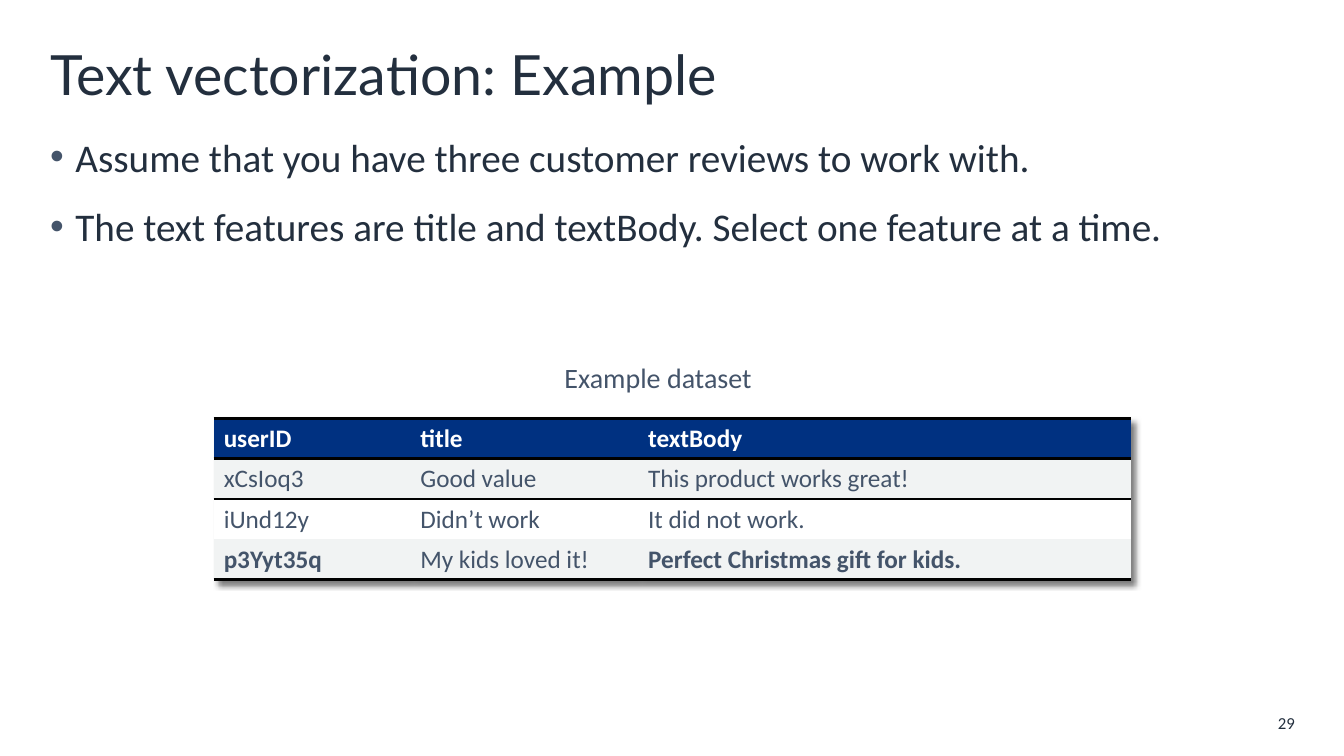
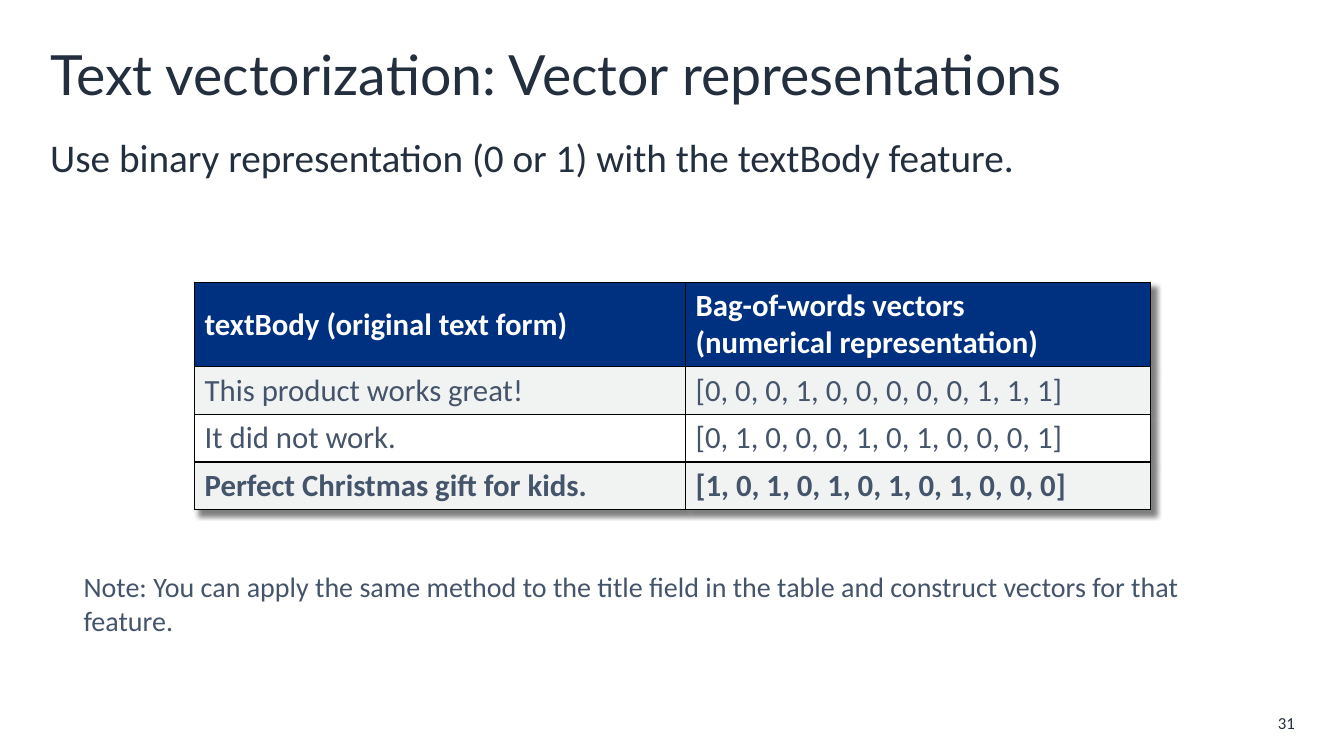
import pptx
import pptx.util
import pptx.dml.color
import pptx.enum.text
import pptx.oxml
import pptx.oxml.ns

deck = pptx.Presentation()
deck.slide_width = pptx.util.Inches(13.33)
deck.slide_height = pptx.util.Inches(7.5)
wide, high = deck.slide_width / 100, deck.slide_height / 100

INK, SLATE, NAVY, PALE, WHITE = "232F3E", "44546A", "003181", "F1F3F3", "FFFFFF"
MID = pptx.enum.text.MSO_ANCHOR.MIDDLE
TOP = pptx.enum.text.MSO_ANCHOR.TOP
LEFT, RIGHT = pptx.enum.text.PP_ALIGN.LEFT, pptx.enum.text.PP_ALIGN.RIGHT
SPACE = pptx.oxml.ns.nsdecls("a")
PLAIN = "{2D5ABB26-0587-4C30-8999-92F81FD0307C}"
SHADE = (
    f'<a:effectLst {SPACE}><a:outerShdw blurRad="50800" dist="50800" dir="2700000" algn="tl">'
    '<a:srgbClr val="000000"><a:alpha val="50000"/></a:srgbClr></a:outerShdw></a:effectLst>'
)


def hue(code):
    return pptx.dml.color.RGBColor.from_string(code)


def write(frame, words, size, tone, face="Calibri", bold=False, align=LEFT, anchor=TOP):
    frame.text = words
    frame.word_wrap = True
    frame.vertical_anchor = anchor
    for line in frame.paragraphs:
        line.alignment = align
        line.font.name = face
        line.font.size = pptx.util.Pt(size)
        line.font.bold = bold
        line.font.color.rgb = hue(tone)


pages = [
    {
        "title": "Text vectorization: Example",
        "body": "Assume that you have three customer reviews to work with.\n"
                "The text features are title and textBody. Select one feature at a time.",
        "dots": True,
        "page": "29",
        "note": ("Example dataset", 41.26, 47.07, 17.4, 5.87),
        "spot": (15.9, 55.33),
        "cols": [14.63, 16.95, 36.68],
        "rows": [5.33] * 4,
        "size": 18,
        "anchor": TOP,
        "grid": False,
        "bold": [0, 2],
        "cells": [
            ["userID", "title", "textBody"],
            ["xCsIoq3", "Good value", "This product works great!"],
            ["iUnd12y", "Didn’t work", "It did not work."],
            ["p3Yyt35q", "My kids loved it!", "Perfect Christmas gift for kids."],
        ],
    },
    {
        "title": "Text vectorization: Vector representations",
        "body": "Use binary representation (0 or 1) with the textBody feature.",
        "dots": False,
        "page": "31",
        "note": ("Note: You can apply the same method to the title field in the table "
                 "and construct vectors for that feature.", 5.48, 74.67, 89.05, 10.27),
        "spot": (14.48, 37.33),
        "cols": [36.53, 34.58],
        "rows": [11.2] + [6.3] * 3,
        "size": 22,
        "anchor": MID,
        "grid": True,
        "bold": [0, 1],
        "cells": [
            ["textBody (original text form)", "Bag-of-words vectors\n(numerical representation)"],
            ["This product works great!", "[0, 0, 0, 1, 0, 0, 0, 0, 0, 1, 1, 1]"],
            ["It did not work.", "[0, 1, 0, 0, 0, 1, 0, 1, 0, 0, 0, 1]"],
            ["Perfect Christmas gift for kids.", "[1, 0, 1, 0, 1, 0, 1, 0, 1, 0, 0, 0]"],
        ],
    },
]

for page in pages:
    slide = deck.slides.add_slide(deck.slide_layouts[5])
    title = slide.shapes.title
    title.left, title.top = int(3 * wide), int(4.4 * high)
    title.width, title.height = int(94.07 * wide), int(10.67 * high)
    write(title.text_frame, page["title"], 39.6, INK, "Lato", anchor=MID)
    title.text_frame.auto_size = pptx.enum.text.MSO_AUTO_SIZE.NONE

    texts = [
        (page["body"], 3, 16.93, 94.07, 76.8, 28, INK, LEFT, TOP),
        (*page["note"], 20, SLATE, LEFT, TOP),
        (page["page"], 93.1, 94, 3.98, 3.33, 12, INK, RIGHT, MID),
    ]
    boxes = []
    for words, x, y, w, h, size, tone, align, anchor in texts:
        box = slide.shapes.add_textbox(int(x * wide), int(y * high), int(w * wide), int(h * high))
        write(box.text_frame, words, size, tone, align=align, anchor=anchor)
        boxes.append(box)

    for line in boxes[0].text_frame.paragraphs:
        line.space_before, line.space_after = pptx.util.Pt(10), pptx.util.Pt(6)
        if page["dots"]:
            props = line._p.get_or_add_pPr()
            props.set("marL", str(pptx.util.Inches(0.25)))
            props.set("indent", str(pptx.util.Inches(-0.25)))
            marks = [
                f'<a:buClr {SPACE}><a:srgbClr val="{SLATE}"/></a:buClr>',
                f'<a:buFont {SPACE} typeface="Arial"/>',
                f'<a:buChar {SPACE} char="•"/>',
            ]
            spot = props.index(props.find(pptx.oxml.ns.qn("a:defRPr")))
            for step, mark in enumerate(marks):
                props.insert(spot + step, pptx.oxml.parse_xml(mark))

    cols, rows = page["cols"], page["rows"]
    x, y = page["spot"]
    table = slide.shapes.add_table(
        len(rows), len(cols), int(x * wide), int(y * high),
        int(sum(cols) * wide), int(sum(rows) * high),
    ).table
    look = table._tbl.tblPr
    look.find(pptx.oxml.ns.qn("a:tableStyleId")).text = PLAIN
    look.insert(0, pptx.oxml.parse_xml(SHADE))
    for col, share in zip(table.columns, cols):
        col.width = int(share * wide)
    for row, share in zip(table.rows, rows):
        row.height = int(share * high)

    last = len(rows) - 1
    for r, row in enumerate(page["cells"]):
        for c, words in enumerate(row):
            cell = table.cell(r, c)
            bold = r == 0 or (r == last and c in page["bold"])
            write(cell.text_frame, words, page["size"], SLATE if r else WHITE, bold=bold)
            cell.vertical_anchor = page["anchor"]
            cell.fill.solid()
            cell.fill.fore_color.rgb = hue(NAVY if r == 0 else PALE if r % 2 else WHITE)
            if page["grid"]:
                sides, thick = "LRTB", 1
            else:
                sides, thick = {0: "TB", 1: "T", last: "B"}.get(r, ""), 2
            for step, side in enumerate(sides):
                edge = (
                    f'<a:ln{side} {SPACE} w="{pptx.util.Pt(thick)}"><a:solidFill>'
                    f'<a:srgbClr val="000000"/></a:solidFill></a:ln{side}>'
                )
                cell._tc.get_or_add_tcPr().insert(step, pptx.oxml.parse_xml(edge))

deck.save("out.pptx")
